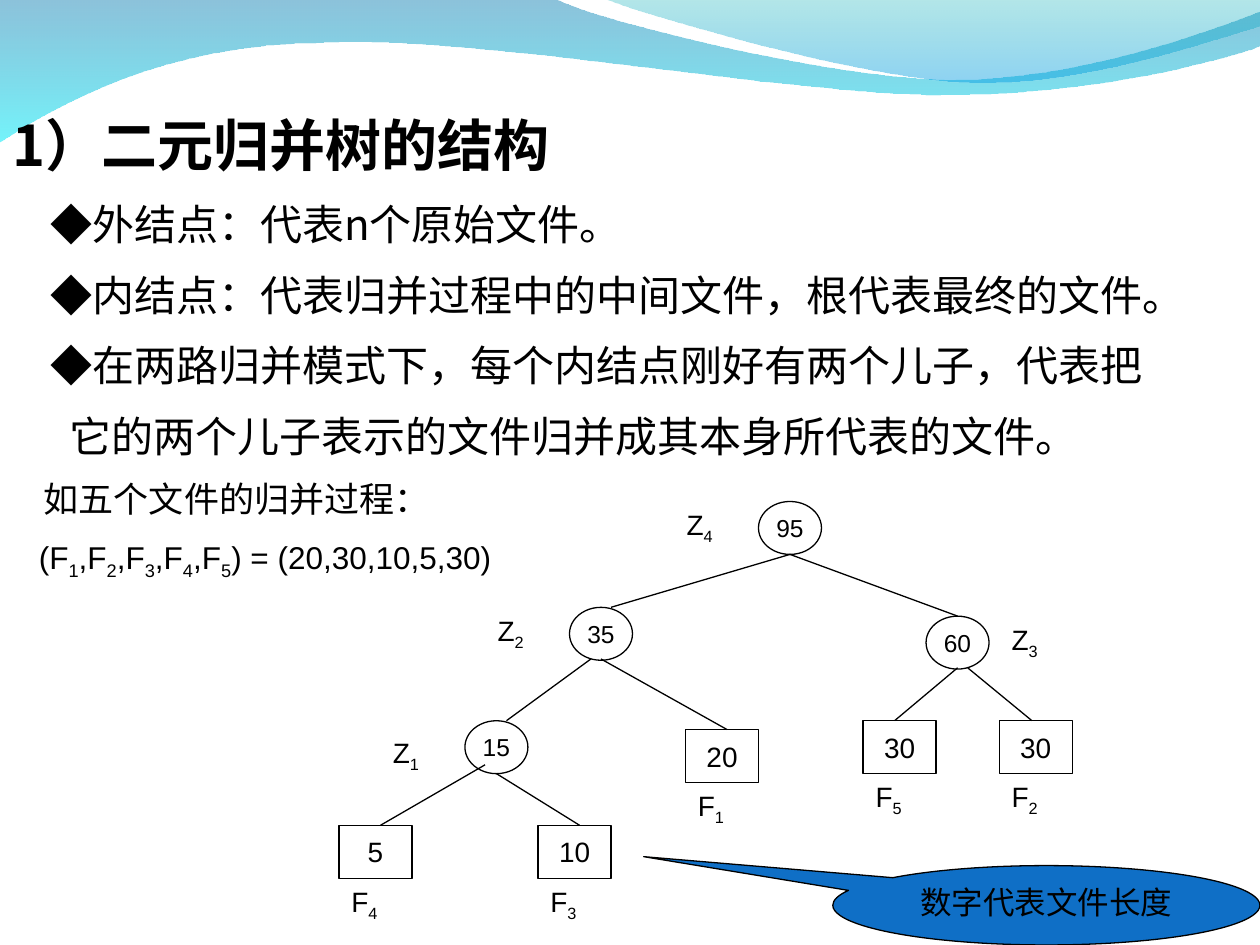
"""Build the slide on the structure of a two-way merge tree."""
import pptx
import pptx.dml.color
import pptx.enum.shapes
import pptx.enum.text
import pptx.oxml.ns
import pptx.util
import lxml.etree

Inches = pptx.util.Inches
Pt = pptx.util.Pt
SHAPE = pptx.enum.shapes.MSO_SHAPE
ANCHOR = pptx.enum.text.MSO_ANCHOR
ALIGN = pptx.enum.text.PP_ALIGN
qn = pptx.oxml.ns.qn
INK, WHITE, BLUE = "000000", "FFFFFF", "0F6FC6"
HAN = "Noto Sans CJK SC"


def color(hex_text):
    """Turn a hex string into a colour."""
    return pptx.dml.color.RGBColor.from_string(hex_text)


def write(paragraph, text, size, name="Arial", bold=False):
    """Write text; the character after each underscore is a subscript."""
    head, *tails = text.split("_")
    pieces = [(head, False)]
    for tail in tails:
        pieces += [(tail[0], True), (tail[1:], False)]
    for piece, lowered in pieces:
        if not piece:
            continue
        run = paragraph.add_run()
        run.text = piece
        for key, value in {"size": Pt(size), "name": name, "bold": bold}.items():
            setattr(run.font, key, value)
        run.font.color.rgb = color(INK)
        properties = run._r.get_or_add_rPr()
        lxml.etree.SubElement(properties, qn("a:ea")).set("typeface", HAN)
        if lowered:
            properties.set("baseline", "-25000")


presentation = pptx.Presentation()
presentation.slide_width, presentation.slide_height = Inches(10), Inches(7.5)
slide = presentation.slides.add_slide(presentation.slide_layouts[5])

heading = slide.shapes.title
heading_place = {"left": 0, "top": 0.88, "width": 10, "height": 0.64}
for key, value in heading_place.items():
    setattr(heading, key, Inches(value))
heading_format = {
    "margin_top": 0, "margin_bottom": 0, "word_wrap": True,
    "vertical_anchor": ANCHOR.TOP, "auto_size": pptx.enum.text.MSO_AUTO_SIZE.NONE,
}
for key, value in heading_format.items():
    setattr(heading.text_frame, key, value)
heading.text_frame.paragraphs[0].alignment = ALIGN.LEFT
write(heading.text_frame.paragraphs[0], "1）二元归并树的结构", 32, HAN, True)

waves = [
    ([(0, -0.01), (4.4, -0.01),
      (4.76, 0.17, 6.64, 0.63, 7.58, 0.63), (8.53, 0.63, 9.58, 0.26, 10, 0.09),
      (10.01, 0.36), (9.83, 0.44, 8.7, 0.76, 7.46, 0.75),
      (6.22, 0.75, 3.82, 0.28, 2.57, 0.34), (1.29, 0.35, 0.46, 0.83, -0.01, 1.13)],
     [("0079AF", 45), ("00EBF8", 55)]),
    ([(4.79, -0.01), (5.09, 0.11, 6.82, 0.62, 7.69, 0.65),
      (8.56, 0.69, 9.61, 0.32, 10, 0.21), (10, 0)],
     [("00ADB6", 30), ("009BE5", 45)]),
]
for outline, tints in waves:
    corners = [(Inches(x), Inches(y)) for segment in outline
               for x, y in zip(segment[::2], segment[1::2])]
    builder = slide.shapes.build_freeform(*corners[0])
    builder.add_line_segments(corners[1:], close=True)
    wave = builder.convert_to_shape()
    strokes = iter(list(wave._element.iter(qn("a:lnTo"))))
    for segment in outline[1:]:
        stroke = next(strokes)
        if len(segment) == 6:
            stroke.tag = qn("a:cubicBezTo")
            for _ in range(2):
                control = next(strokes)
                control.getparent().remove(control)
                stroke.append(control[0])
    wave.shadow.inherit = False
    wave.line.fill.background()
    wave.fill.gradient()
    wave.fill.gradient_angle = 270
    for stop, (tint, opacity) in zip(wave.fill.gradient_stops, tints):
        stop.color.rgb = color(tint)
    for tone, (tint, opacity) in zip(wave._element.iter(qn("a:srgbClr")), tints):
        lxml.etree.SubElement(tone, qn("a:alpha")).set("val", str(opacity * 1000))
    heading._element.addprevious(wave._element)

explanation = slide.shapes.add_textbox(0, Inches(1.42), Inches(10), Inches(3.3)).text_frame
explanation.word_wrap = True
explanation.margin_top = explanation.margin_bottom = 0
statements = [
    ("◆外结点：代表n个原始文件。", 0.3, 24, HAN, 40.25, 0),
    ("◆内结点：代表归并过程中的中间文件，根代表最终的文件。", 0.3, 24, HAN, 40.25, 0),
    ("◆在两路归并模式下，每个内结点刚好有两个儿子，代表把", 0.3, 24, HAN, 40.25, 0),
    ("它的两个儿子表示的文件归并成其本身所代表的文件。", 0.45, 24, HAN, 40.25, 0),
    ("如五个文件的归并过程：", 0.25, 20, "TeX Gyre Pagella", 33.5, 0),
    ("(F_1,F_2,F_3,F_4,F_5) = (20,30,10,5,30)", 0.21, 18, "Arial", 24, 11.2),
]
for index, (text, indent, size, name, spacing, before) in enumerate(statements):
    statement = explanation.add_paragraph() if index else explanation.paragraphs[0]
    statement._p.get_or_add_pPr().set("marL", str(Inches(indent)))
    statement.line_spacing = Pt(spacing)
    statement.space_before = Pt(before)
    write(statement, text, size, name)

LEAF, INNER, NOTE = SHAPE.RECTANGLE, SHAPE.OVAL, SHAPE.OVAL_CALLOUT
looks = {
    LEAF: (0.58, 0.42, 16, WHITE, ANCHOR.MIDDLE, False),
    INNER: (0.5, 0.42, 14, WHITE, ANCHOR.MIDDLE, False),
    NOTE: (3.39, 0.63, 18, BLUE, ANCHOR.TOP, True),
}
nodes = [
    (NOTE, "数字代表文件长度", 6.61, 6.87, "", 0, 0),
    (INNER, "95", 6.02, 3.98, "Z_4", -0.67, 0),
    (INNER, "35", 4.52, 4.82, "Z_2", -0.67, 0),
    (INNER, "60", 7.35, 4.89, "Z_3", 0.58, 0),
    (INNER, "15", 3.69, 5.72, "Z_1", -0.67, 0.07),
    (LEAF, "5", 2.69, 6.55, "F_4", 0, 0.42),
    (LEAF, "10", 4.27, 6.55, "F_3", 0, 0.42),
    (LEAF, "20", 5.44, 5.79, "F_1", 0, 0.42),
    (LEAF, "30", 6.85, 5.72, "F_5", 0, 0.42),
    (LEAF, "30", 7.93, 5.72, "F_2", 0, 0.42),
]
for kind, value, left, top, label, shift_x, shift_y in nodes:
    width, height, size, fill, anchor, wrap = looks[kind]
    node = slide.shapes.add_shape(kind, Inches(left), Inches(top), Inches(width), Inches(height))
    node.shadow.inherit = False
    node.fill.solid()
    node.fill.fore_color.rgb = color(fill)
    node.line.color.rgb = color(INK)
    node.line.width = Pt(0.75)
    for key, setting in {"vertical_anchor": anchor, "word_wrap": wrap}.items():
        setattr(node.text_frame, key, setting)
    node.text_frame.paragraphs[0].alignment = ALIGN.CENTER
    write(node.text_frame.paragraphs[0], value, size)
    if kind == NOTE:
        node.adjustments[0], node.adjustments[1] = -0.943, -0.613
    if label:
        tag = slide.shapes.add_textbox(
            Inches(left + shift_x), Inches(top + shift_y), Inches(0.58), Inches(0.41))
        tag.text_frame.word_wrap = True
        write(tag.text_frame.paragraphs[0], label, 16)

branches = [
    (6.27, 4.4, 4.85, 4.82), (6.27, 4.4, 7.6, 4.89),
    (4.69, 5.23, 4.02, 5.72), (4.77, 5.23, 5.77, 5.79),
    (7.6, 5.3, 7.1, 5.72), (7.68, 5.3, 8.19, 5.72),
    (3.85, 6.07, 3.02, 6.55), (3.94, 6.14, 4.6, 6.55),
]
for ends in branches:
    branch = slide.shapes.add_connector(
        pptx.enum.shapes.MSO_CONNECTOR.STRAIGHT, *map(Inches, ends))
    branch.line.color.rgb = color(INK)
    branch.line.width = Pt(0.75)
    lxml.etree.SubElement(branch._element.spPr, qn("a:effectLst"))

presentation.save("out.pptx")
